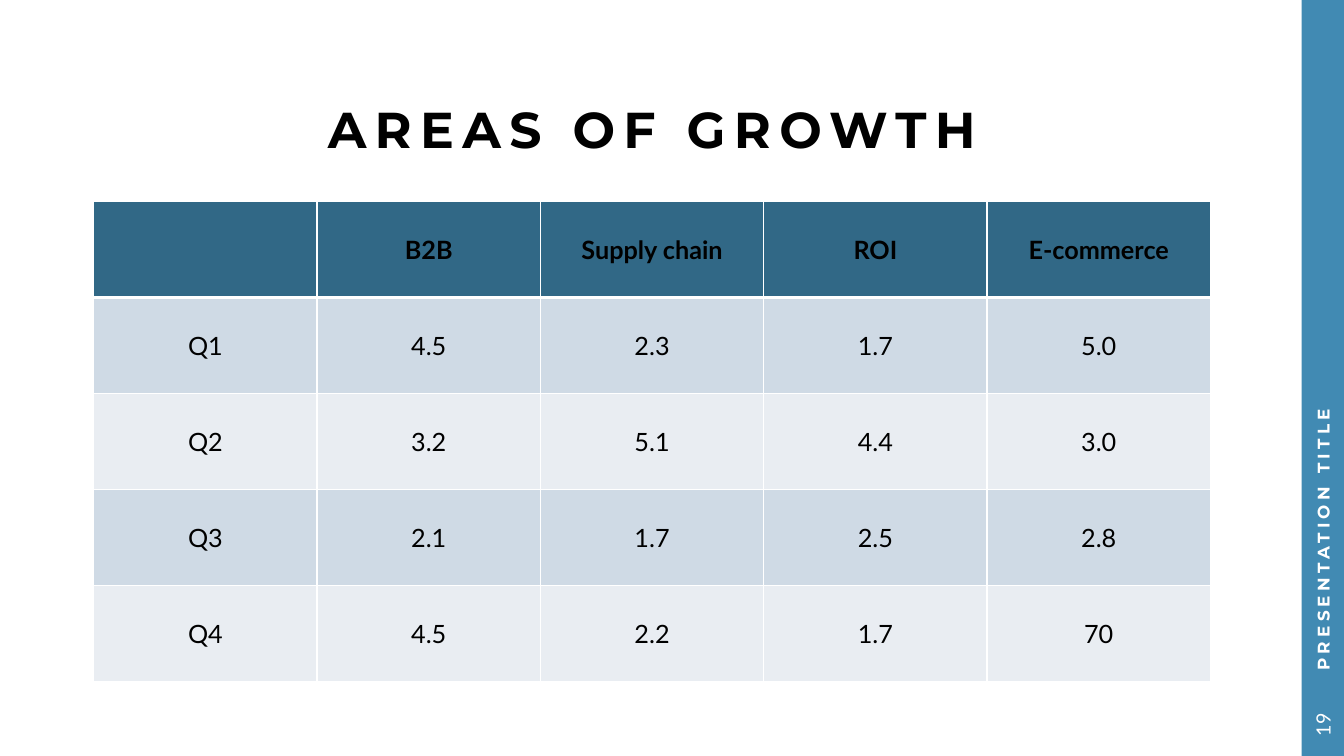
import pptx
import pptx.dml.color
import pptx.enum.shapes
import pptx.enum.text
import pptx.oxml
import pptx.oxml.ns
import pptx.util

COLORS = {"header": "316886", "odd": "CFDAE5", "even": "E9EDF2",
          "band": "418AB3", "white": "FFFFFF", "black": "000000"}
ALIGN = pptx.enum.text.PP_ALIGN
MIDDLE = pptx.enum.text.MSO_ANCHOR.MIDDLE
Inches = pptx.util.Inches


def style_text(paragraph, text, font_name, size, color, bold=False, spacing=0,
               align=ALIGN.CENTER):
    run = paragraph.add_run()
    run.text = text
    if spacing:
        run._r.get_or_add_rPr().set("spc", str(spacing * 100))
    paragraph.alignment = align
    font = paragraph.font
    font.name, font.size, font.bold = font_name, pptx.util.Pt(size), bold
    font.color.rgb = pptx.dml.color.RGBColor.from_string(COLORS[color])


def add_label(left, top, width, height, margins, rotation=0):
    box = slide.shapes.add_textbox(*map(Inches, (left, top, width, height)))
    box.rotation = rotation
    frame = box.text_frame
    frame.word_wrap = True
    frame.vertical_anchor = MIDDLE
    (frame.margin_left, frame.margin_top,
     frame.margin_right, frame.margin_bottom) = map(Inches, margins)
    return frame.paragraphs[0]


# Slide and its measures, in inches
presentation = pptx.Presentation()
WIDTH, HEIGHT = 13.33, 7.5
presentation.slide_width, presentation.slide_height = Inches(WIDTH), Inches(HEIGHT)
slide = presentation.slides.add_slide(presentation.slide_layouts[6])
BAND = 0.42
BAND_CENTER = WIDTH - BAND / 2
LEFT, TABLE_TOP = 0.93, 2
COLUMN, ROW = 2.215, 0.952

# Side band
band = slide.shapes.add_shape(
    pptx.enum.shapes.MSO_SHAPE.RECTANGLE,
    Inches(WIDTH - BAND), 0, Inches(BAND), Inches(HEIGHT))
band.shadow.inherit = False
band.fill.solid()
band.fill.fore_color.rgb = pptx.dml.color.RGBColor.from_string(COLORS["band"])
band.line.fill.background()

# Title
title = add_label(LEFT, 0.96, 5 * COLUMN, 0.71, (0, 0, 0, 0))
title.line_spacing = 0.9
style_text(title, "AREAS OF GROWTH", "Montserrat", 36, "black", True, 6)

# Table
rows = [
    ["", "B2B", "Supply chain", "ROI", "E-commerce"],
    ["Q1", "4.5", "2.3", "1.7", "5.0"],
    ["Q2", "3.2", "5.1", "4.4", "3.0"],
    ["Q3", "2.1", "1.7", "2.5", "2.8"],
    ["Q4", "4.5", "2.2", "1.7", "70"],
]
table = slide.shapes.add_table(
    len(rows), len(rows[0]), Inches(LEFT), Inches(TABLE_TOP),
    Inches(COLUMN * len(rows[0])), Inches(ROW * len(rows))).table
for column in table.columns:
    column.width = Inches(COLUMN)
for row_index, values in enumerate(rows):
    table.rows[row_index].height = Inches(ROW)
    fill = "header" if row_index == 0 else ("even", "odd")[row_index % 2]
    # The rule under the header is thicker than the other borders
    borders = {"lnL": 1, "lnR": 1, "lnT": 3 if row_index == 1 else 1,
               "lnB": 3 if row_index == 0 else 1}
    for column_index, value in enumerate(values):
        cell = table.cell(row_index, column_index)
        cell.vertical_anchor = MIDDLE
        style_text(cell.text_frame.paragraphs[0], value, "Lato", 18, "black",
                   row_index == 0)
        properties = cell._tc.get_or_add_tcPr()
        for tag, points in borders.items():
            properties.append(pptx.oxml.parse_xml(
                f'<a:{tag} {pptx.oxml.ns.nsdecls("a")} w="{points * 12700}"><a:solidFill>'
                f'<a:srgbClr val="{COLORS["white"]}"/></a:solidFill></a:{tag}>'))
        cell.fill.solid()
        cell.fill.fore_color.rgb = pptx.dml.color.RGBColor.from_string(COLORS[fill])

# Footer and slide number, reading upwards along the band
for text, center, length, margins, style in [
    ("PRESENTATION TITLE", 3.44, 6.88, (0.23, 0.05, 0.1, 0.05),
     ("Montserrat", 12, "white", True, 3, ALIGN.LEFT)),
    ("19", 7.19, 0.62, (0.1, 0.05, 0.1, 0.05), ("Lato", 14, "white")),
]:
    label = add_label(BAND_CENTER - length / 2, center - BAND / 2, length, BAND,
                      margins, 270)
    style_text(label, text, *style)

presentation.save("out.pptx")
